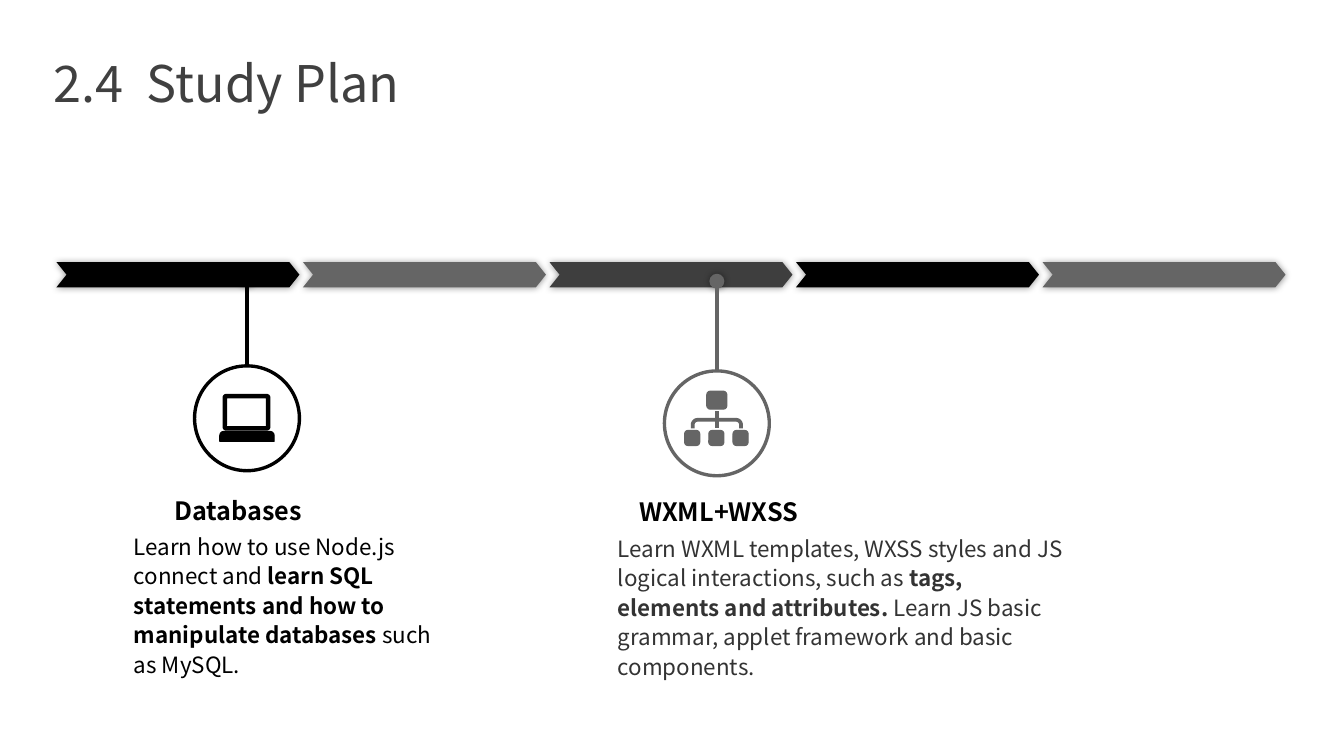
from dataclasses import dataclass
from math import cos, pi, sin

from lxml.etree import SubElement
from pptx import Presentation
from pptx.dml.color import RGBColor
from pptx.enum.shapes import MSO_CONNECTOR, MSO_SHAPE as Shp
from pptx.enum.text import MSO_ANCHOR, MSO_AUTO_SIZE as Fit
from pptx.oxml.ns import qn
from pptx.util import Inches, Pt

FONT = "Noto Sans CJK SC"
COLORS = {"black": "000000", "gray": "656565", "dark": "3E3E3E",
          "body": "333333", "title": "404040"}
ARROW_COLORS = ["black", "gray", "dark", "black", "gray"]
ARROW_LEFT, ARROW_PITCH = 0.56, 2.445
RING_RADIUS = 0.52


@dataclass
class Run:
    text: str
    bold: bool = False


@dataclass
class Label:
    left: float
    top: float
    width: float
    height: float
    size: int
    color: str
    runs: list[Run]
    wrap: bool = True
    spacing: float = 1.1


@dataclass
class Milestone:
    x: float
    dot_y: float
    ring_y: float
    color: str
    heading: Label
    body: Label


MILESTONES = [
    Milestone(2.45, 2.77, 4.15, "black",
              Label(1.63, 4.83, 1.5, 0.41, 18, "black",
                    [Run("Databases", True)], wrap=False),
              Label(1.23, 5.21, 3.39, 1.56, 16, "black", [
                  Run("Learn how to use Node.js connect and "),
                  Run("learn SQL statements and how to manipulate databases ", True),
                  Run("such as MySQL.")])),
    Milestone(7.11, 2.79, 4.2, "gray",
              Label(6.24, 4.84, 1.85, 0.41, 18, "black",
                    [Run("WXML+WXSS", True)], wrap=False),
              Label(6.03, 5.23, 4.65, 1.56, 16, "body", [
                  Run("Learn WXML templates, WXSS styles and JS logical "
                      "interactions, such as "),
                  Run("tags, elements and attributes. ", True),
                  Run("Learn JS basic grammar, applet framework and basic "
                      "components.")])),
]
TITLE = Label(0.43, 0.37, 3.66, 0.77, 36, "title",
              [Run("2.4\tStudy Plan")], spacing=1.2)


def rgb(name: str) -> RGBColor:
    return RGBColor.from_string(COLORS[name])


def add_glow_shadow(sp) -> None:
    effects = sp._element.spPr.find(qn("a:effectLst"))
    shadow = SubElement(effects, qn("a:outerShdw"), blurRad=str(Pt(5)),
                        dist="0", dir="0", algn="ctr", rotWithShape="0")
    color = SubElement(shadow, qn("a:srgbClr"), val=COLORS["black"])
    SubElement(color, qn("a:alpha"), val="40000")


def style(sp, fill: str | None, line: str | None, width: float) -> None:
    sp.shadow.inherit = False
    if fill:
        sp.fill.solid()
        sp.fill.fore_color.rgb = rgb(fill)
    else:
        sp.fill.background()
    if line:
        sp.line.color.rgb = rgb(line)
        sp.line.width = Pt(width)
    else:
        sp.line.fill.background()


def add_box(s, kind: Shp, x: float, y: float, w: float, h: float,
            fill: str | None, line: str | None = None, width: float = 0.75,
            adjust: float | None = None):
    sp = s.shapes.add_shape(kind, Inches(x), Inches(y), Inches(w), Inches(h))
    if adjust is not None:
        sp.adjustments[0] = adjust
    style(sp, fill, line, width)
    return sp


def add_line(s, x: float, top: float, bottom: float, color: str,
             width: float) -> None:
    line = s.shapes.add_connector(MSO_CONNECTOR.STRAIGHT, Inches(x),
                                  Inches(top), Inches(x), Inches(bottom))
    line.line.color.rgb = rgb(color)
    line.line.width = Pt(width)
    SubElement(line._element.spPr, qn("a:effectLst"))


def add_label(s, label: Label):
    sp = s.shapes.add_textbox(Inches(label.left), Inches(label.top),
                              Inches(label.width), Inches(label.height))
    tf = sp.text_frame
    tf.word_wrap = label.wrap
    tf.auto_size = Fit.SHAPE_TO_FIT_TEXT
    p = tf.paragraphs[0]
    p.line_spacing = label.spacing
    for run in label.runs:
        r = p.add_run()
        r.text = run.text
        r.font.name = FONT
        r.font.size = Pt(label.size)
        r.font.bold = run.bold
        r.font.color.rgb = rgb(label.color)
    return sp


def add_title(s) -> None:
    tf = add_label(s, TITLE).text_frame
    tf.vertical_anchor = MSO_ANCHOR.MIDDLE
    tabs = SubElement(tf.paragraphs[0]._p.get_or_add_pPr(), qn("a:tabLst"))
    SubElement(tabs, qn("a:tab"), pos=str(Inches(0.93)), algn="l")


def add_milestone(s, m: Milestone) -> None:
    dot = add_box(s, Shp.OVAL, m.x - 0.06, m.dot_y - 0.06, 0.12, 0.12,
                  m.color, m.color, 2)
    add_glow_shadow(dot)
    add_line(s, m.x, m.dot_y, m.ring_y - RING_RADIUS, m.color, 2.5)
    add_box(s, Shp.OVAL, m.x - RING_RADIUS, m.ring_y - RING_RADIUS,
            2 * RING_RADIUS, 2 * RING_RADIUS, None, m.color, 2.4)
    add_label(s, m.body)
    add_label(s, m.heading)


def add_laptop(s, x: float, y: float, color: str) -> None:
    add_box(s, Shp.ROUNDED_RECTANGLE, x - 0.22, y - 0.22, 0.43, 0.32,
            None, color, 3.2, 0.04)
    add_box(s, Shp.ROUND_2_SAME_RECTANGLE, x - 0.27, y + 0.13, 0.54, 0.1,
            color, color, adjust=0.4)


def add_network(s, x: float, y: float, color: str) -> None:
    half, radius, top, bottom = 0.24, 0.05, y - 0.035, y + 0.05
    angles = [pi / 2 * step / 6 for step in range(7)]
    right = [(half - radius + radius * cos(a), top + radius - radius * sin(a))
             for a in angles]
    right.insert(0, (half, bottom))
    points = [(x - dx, py) for dx, py in right]
    points += [(x + dx, py) for dx, py in reversed(right)]
    first, *rest = [(Inches(px), Inches(py)) for px, py in points]
    builder = s.shapes.build_freeform(*first)
    builder.add_line_segments(rest, close=False)
    style(builder.convert_to_shape(), None, color, 2.7)
    add_line(s, x, y - 0.12, bottom, color, 2.5)
    add_box(s, Shp.ROUNDED_RECTANGLE, x - 0.1, y - 0.32, 0.2, 0.18,
            color, color, adjust=0.2)
    for dx in (-half, 0, half):
        add_box(s, Shp.ROUNDED_RECTANGLE, x + dx - 0.08, y + 0.07, 0.15, 0.15,
                color, color, adjust=0.22)


def main() -> None:
    prs = Presentation()
    prs.slide_width, prs.slide_height = Inches(13.33), Inches(7.5)
    s = prs.slides.add_slide(prs.slide_layouts[6])
    for i, color in enumerate(ARROW_COLORS):
        arrow = add_box(s, Shp.CHEVRON, ARROW_LEFT + i * ARROW_PITCH, 2.6,
                        2.41, 0.25, color, adjust=0.4)
        add_glow_shadow(arrow)
    for m, add_icon in zip(MILESTONES, (add_laptop, add_network)):
        add_milestone(s, m)
        add_icon(s, m.x, m.ring_y, m.color)
    add_title(s)
    prs.save("out.pptx")


if __name__ == "__main__":
    main()
